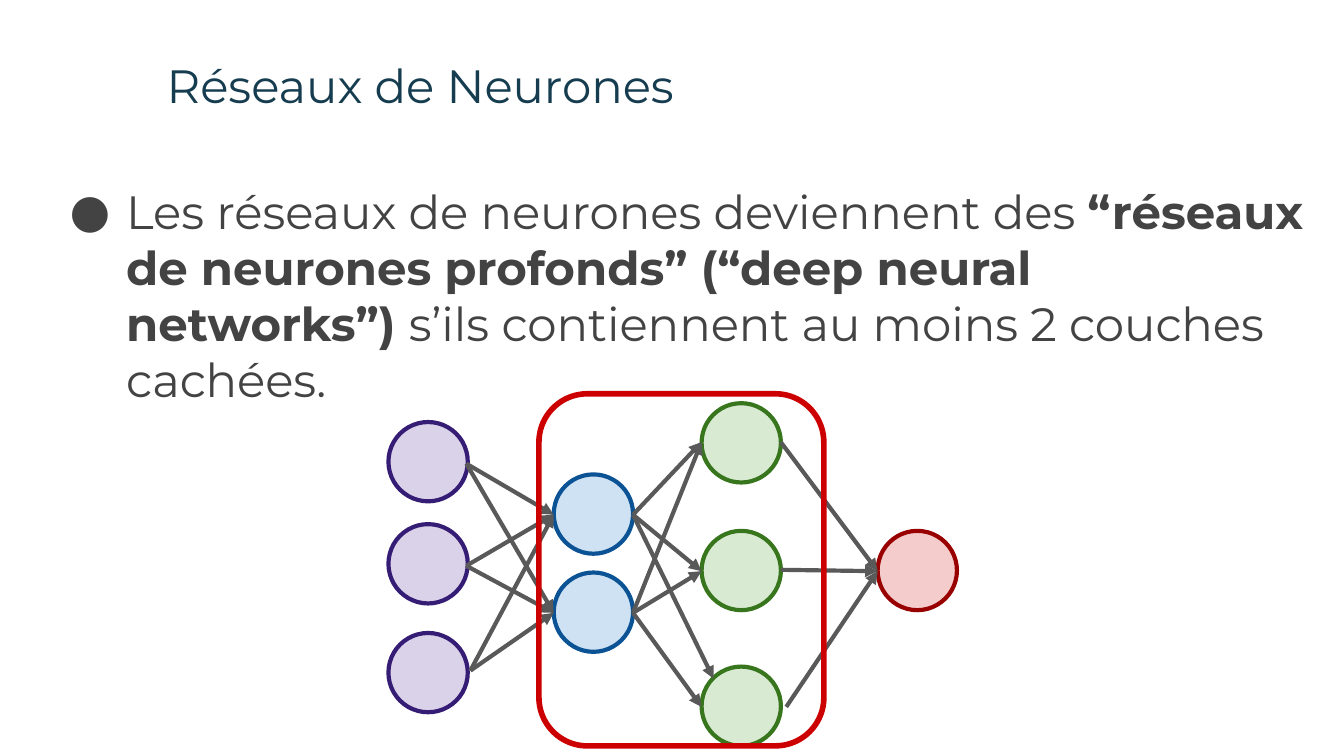
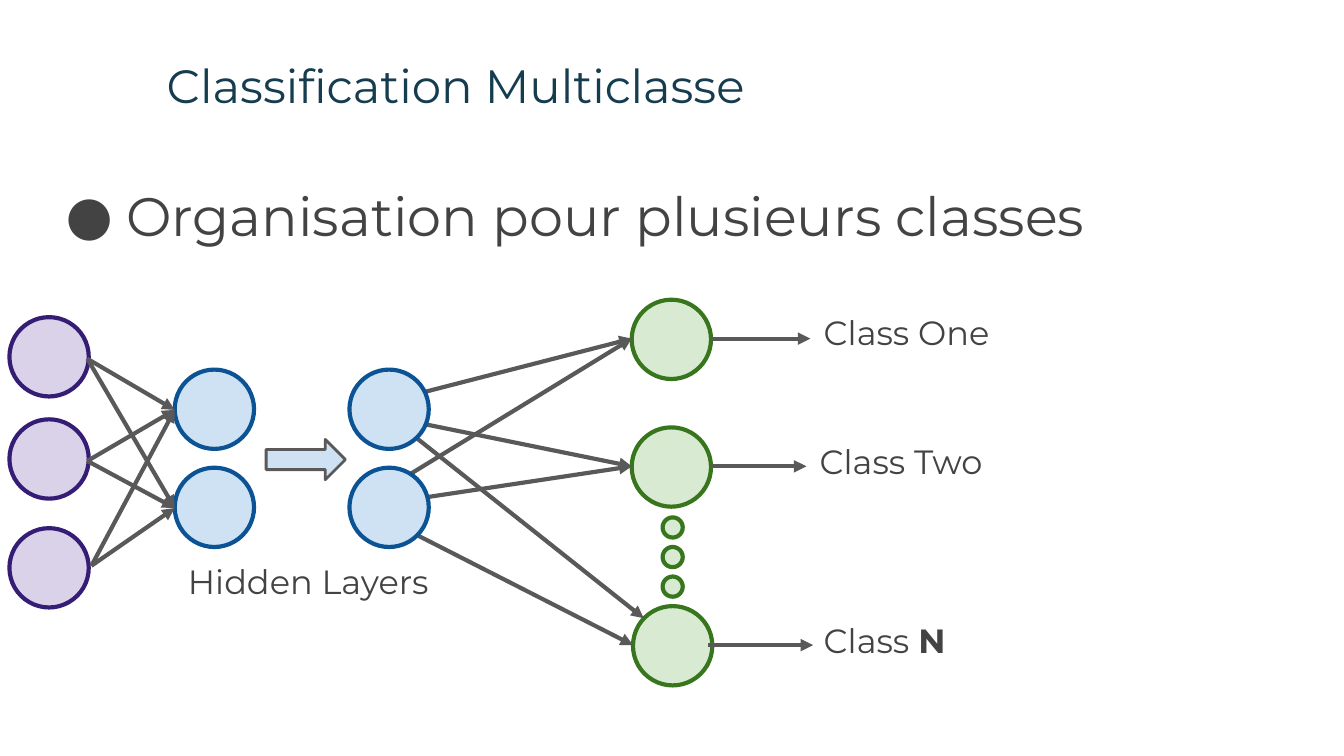
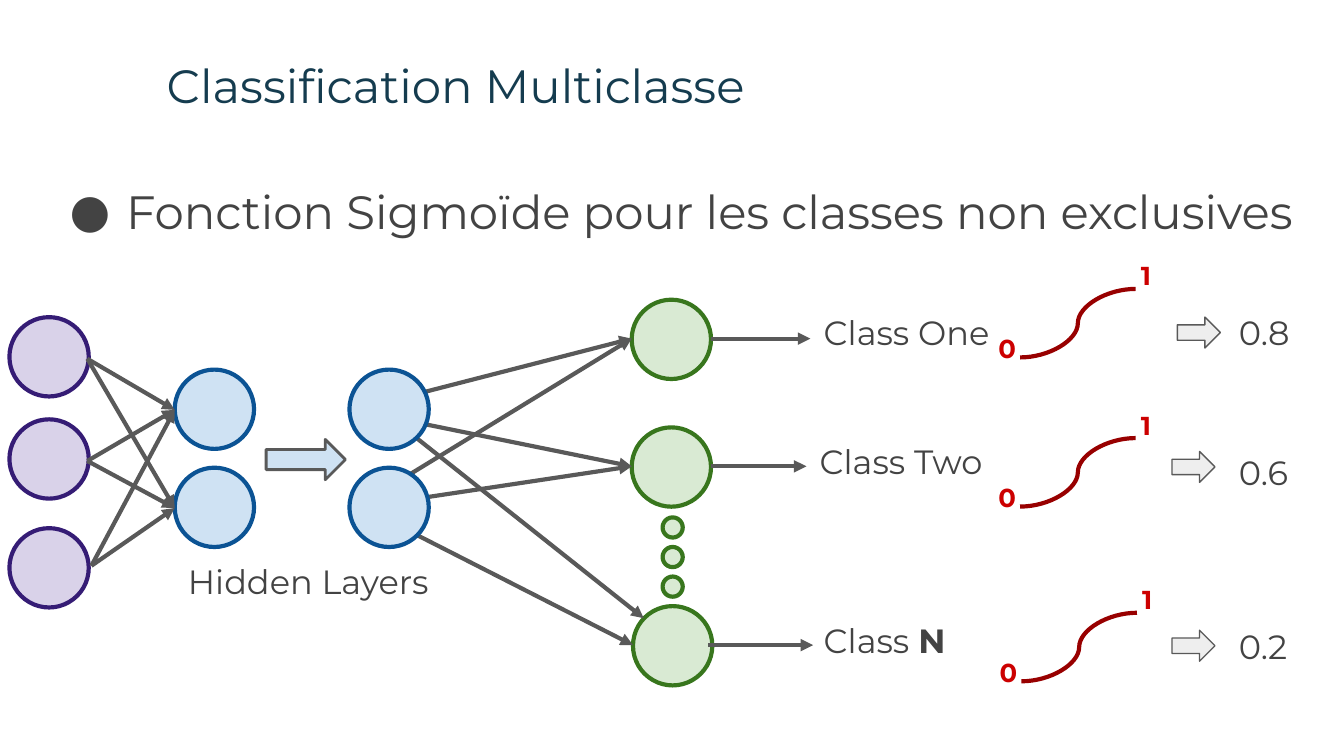
import dataclasses
import itertools

import lxml.etree
import pptx
import pptx.dml.color
import pptx.enum.shapes
import pptx.enum.text
import pptx.oxml.ns
import pptx.util

PX = 9144  # EMU per px: 100 px to the inch
SHAPES = pptx.enum.shapes.MSO_SHAPE
CONNECTORS = pptx.enum.shapes.MSO_CONNECTOR
qn = pptx.oxml.ns.qn


@dataclasses.dataclass(frozen=True)
class Theme:
    font: str = "Montserrat"
    title: str = "153C4F"
    text: str = "434343"
    arrow: str = "595959"
    curve: str = "980000"
    accent: str = "CC0000"
    # Fill and outline of each layer
    input: tuple = ("D9D2E9", "351C75")
    hidden: tuple = ("CFE2F3", "0B5394")
    output: tuple = ("D9EAD3", "38761D")
    final: tuple = ("F4CCCC", "990000")
    block_arrow: tuple = ("CFE2F3", "595959")
    result_arrow: tuple = ("EEEEEE", "595959")
    frame: tuple = (None, "CC0000")
    title_size: float = 25
    label_size: float = 18
    limit_size: float = 13.9
    line_width: float = 2.25


THEME = Theme()
NODE = 59
DOT = 15


def add_shape(slide, kind, box, colours, width=THEME.line_width):
    shape = slide.shapes.add_shape(kind, *(length * PX for length in box))
    shape.shadow.inherit = False
    fill, line = colours
    if fill:
        shape.fill.solid()
        shape.fill.fore_color.rgb = pptx.dml.color.RGBColor.from_string(fill)
    else:
        shape.fill.background()
    shape.line.color.rgb = pptx.dml.color.RGBColor.from_string(line)
    shape.line.width = pptx.util.Pt(width)
    return shape


def write_text(shape, box, runs, size, colour):
    """Place a text shape, fill it with (text, bold) runs and return its paragraph."""
    shape.left, shape.top, shape.width, shape.height = (length * PX for length in box)
    frame = shape.text_frame
    frame.word_wrap = True
    frame.auto_size = pptx.enum.text.MSO_AUTO_SIZE.NONE
    frame.vertical_anchor = pptx.enum.text.MSO_ANCHOR.TOP
    frame.margin_left = frame.margin_right = frame.margin_top = frame.margin_bottom = 10 * PX
    paragraph = frame.paragraphs[0]
    paragraph.alignment = pptx.enum.text.PP_ALIGN.LEFT
    for text, bold in runs:
        run = paragraph.add_run()
        run.text = text
        run.font.name = THEME.font
        run.font.size = pptx.util.Pt(size)
        run.font.bold = bold
        run.font.color.rgb = pptx.dml.color.RGBColor.from_string(colour)
    return paragraph


presentation = pptx.Presentation()
presentation.slide_width = 1000 * PX
presentation.slide_height = presentation.slide_width * 9 // 16

# Title, bullet runs, bullet size, bullet hang, bullet box height, network origin
slides = [
    ("Réseaux de Neurones",
     [("Les réseaux de neurones deviennent des ", False),
      ("“réseaux de neurones profonds” (“deep neural networks”) ", True),
      ("s’ils contiennent au moins 2 couches cachées.", False)],
     25, 42, 374, (289, 314)),
    ("Classification Multiclasse",
     [("Organisation pour plusieurs classes", False)], 29, 45, 79, (7, 236)),
    ("Classification Multiclasse",
     [("Fonction Sigmoïde pour les classes non exclusives", False)], 25, 42, 79, (7, 236)),
]

# Left, top of each class label, then its runs
class_labels = [
    (603, 222, [("Class One", False)]),
    (600, 318, [("Class Two", False)]),
    (603, 451, [("Class ", False), ("N", True)]),
]

# Curve left and top, result arrow left and top, result top, result
sigmoids = [
    (759, 215, 876, 236, 222, "0.8"),
    (759, 326, 872, 336, 326, "0.6"),
    (760, 456, 872, 469, 456, "0.2"),
]

for number, (title, bullet, size, hang, height, (x, y)) in enumerate(slides, start=1):
    slide = presentation.slides.add_slide(presentation.slide_layouts[5])
    write_text(slide.shapes.title, (114, 32, 852, 63), [(title, False)],
               THEME.title_size, THEME.title)

    bullet_box = slide.shapes.add_textbox(0, 0, PX, PX)
    paragraph = write_text(bullet_box, (34, 126, 950, height), bullet, size, THEME.text)
    properties = paragraph._p.get_or_add_pPr()
    properties.set("marL", str(50 * PX))
    properties.set("indent", str(-hang * PX))
    bullet_colour = lxml.etree.SubElement(properties, qn("a:buClr"))
    lxml.etree.SubElement(bullet_colour, qn("a:srgbClr"), val=THEME.text)
    lxml.etree.SubElement(properties, qn("a:buFont"), typeface=THEME.font)
    lxml.etree.SubElement(properties, qn("a:buChar"), char="●")

    # Input layer and first hidden layer, the same on every slide
    nodes = [(x, y + drop, THEME.input) for drop in (0, 76, 157)]
    nodes += [(x + 123, y + drop, THEME.hidden) for drop in (39, 112)]
    arrows = list(itertools.product(
        [(x + 58, y + 31), (x + 58, y + 107), (x + 61, y + 185)],
        [(x + 123, y + 69), (x + 123, y + 142)]))
    front_nodes = []
    curves = []

    if number == 1:
        nodes += [(522, top, THEME.output) for top in (300, 395, 496)]
        nodes.append((653, 395, THEME.final))
        arrows += itertools.product([(471, 383)], [(522, 329), (522, 425), (531, 505)])
        arrows += itertools.product([(471, 456)], [(522, 329), (522, 425), (522, 526)])
        arrows += itertools.product([(581, 329), (581, 424), (585, 526)], [(653, 425)])
    else:
        nodes += [(left, top, THEME.output) for left, top in ((470, 223), (470, 318), (471, 451))]
        front_nodes = [(260, top, THEME.hidden) for top in (275, 348)]
        arrows += itertools.product([(264, 305), (264, 378)], [(470, 252), (470, 347)])
        arrows += [((310, 326), (479, 460)), ((310, 398), (471, 480)),
                   ((529, 252), (603, 252)), ((529, 347), (600, 347)), ((527, 480), (605, 480))]
    if number == 3:
        curves = [((left, top + 51), (left + 86, top)) for left, top, *_ in sigmoids]

    for left, top, colours in nodes:
        add_shape(slide, SHAPES.OVAL, (left, top, NODE, NODE), colours)

    for kind, links, colour in ((CONNECTORS.STRAIGHT, arrows, THEME.arrow),
                                (CONNECTORS.CURVE, curves, THEME.curve)):
        for start, end in links:
            connector = slide.shapes.add_connector(
                kind, *(length * PX for length in (*start, *end)))
            connector.line.color.rgb = pptx.dml.color.RGBColor.from_string(colour)
            connector.line.width = pptx.util.Pt(THEME.line_width)
            if kind == CONNECTORS.STRAIGHT:
                lxml.etree.SubElement(connector.line._get_or_add_ln(), qn("a:tailEnd"),
                                      type="triangle")
            lxml.etree.SubElement(connector._element.spPr, qn("a:effectLst"))

    for left, top, colours in front_nodes:
        add_shape(slide, SHAPES.OVAL, (left, top, NODE, NODE), colours)

    if number == 1:
        frame = add_shape(slide, SHAPES.ROUNDED_RECTANGLE, (401, 293, 212, 262), THEME.frame, 3)
        frame.adjustments[0] = 0.17
        continue

    add_shape(slide, SHAPES.RIGHT_ARROW, (198, 327, 59, 30), THEME.block_arrow, 1.5)
    for step in range(3):
        add_shape(slide, SHAPES.OVAL, (493, 385 + 22 * step, DOT, DOT), THEME.output)
    for left, top, runs in [(130, 407, [("Hidden Layers", False)]), *class_labels]:
        write_text(slide.shapes.add_textbox(0, 0, PX, PX), (left, top, 214, 59), runs,
                   THEME.label_size, THEME.text)

    if number == 3:
        for left, top, arrow_left, arrow_top, result_top, result in sigmoids:
            for limit, limit_left, limit_top in (("0", left - 26, top + 27),
                                                 ("1", left + 80, top - 27)):
                paragraph = write_text(slide.shapes.add_textbox(0, 0, PX, PX),
                                       (limit_left, limit_top, 30, 40), [(limit, True)],
                                       THEME.limit_size, THEME.accent)
                paragraph.line_spacing = 0.8
            add_shape(slide, SHAPES.RIGHT_ARROW, (arrow_left, arrow_top, 32, 23),
                      THEME.result_arrow, 0.75)
            write_text(slide.shapes.add_textbox(0, 0, PX, PX), (912, result_top, 72, 51),
                       [(result, False)], THEME.label_size, THEME.text)

presentation.save("out.pptx")
